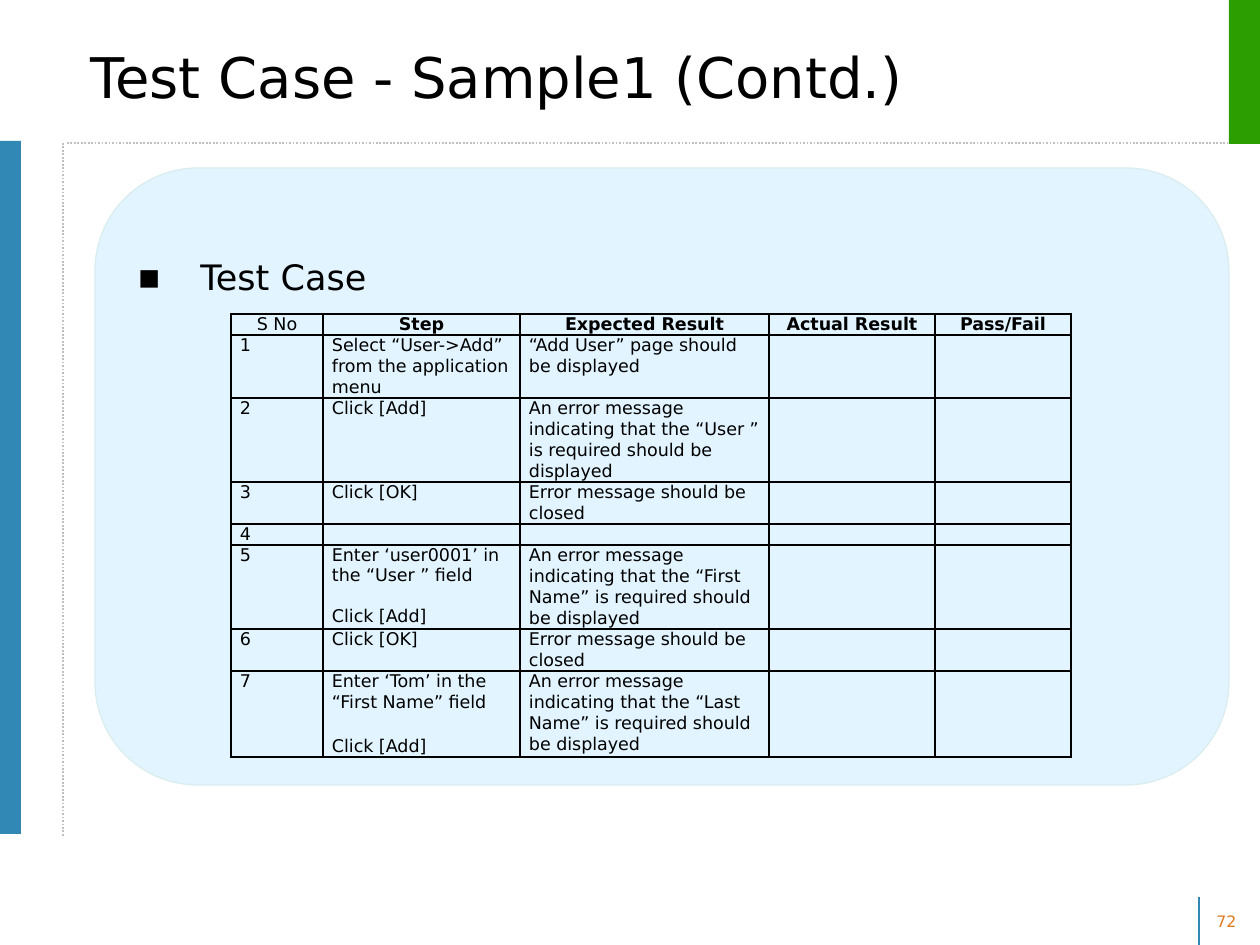
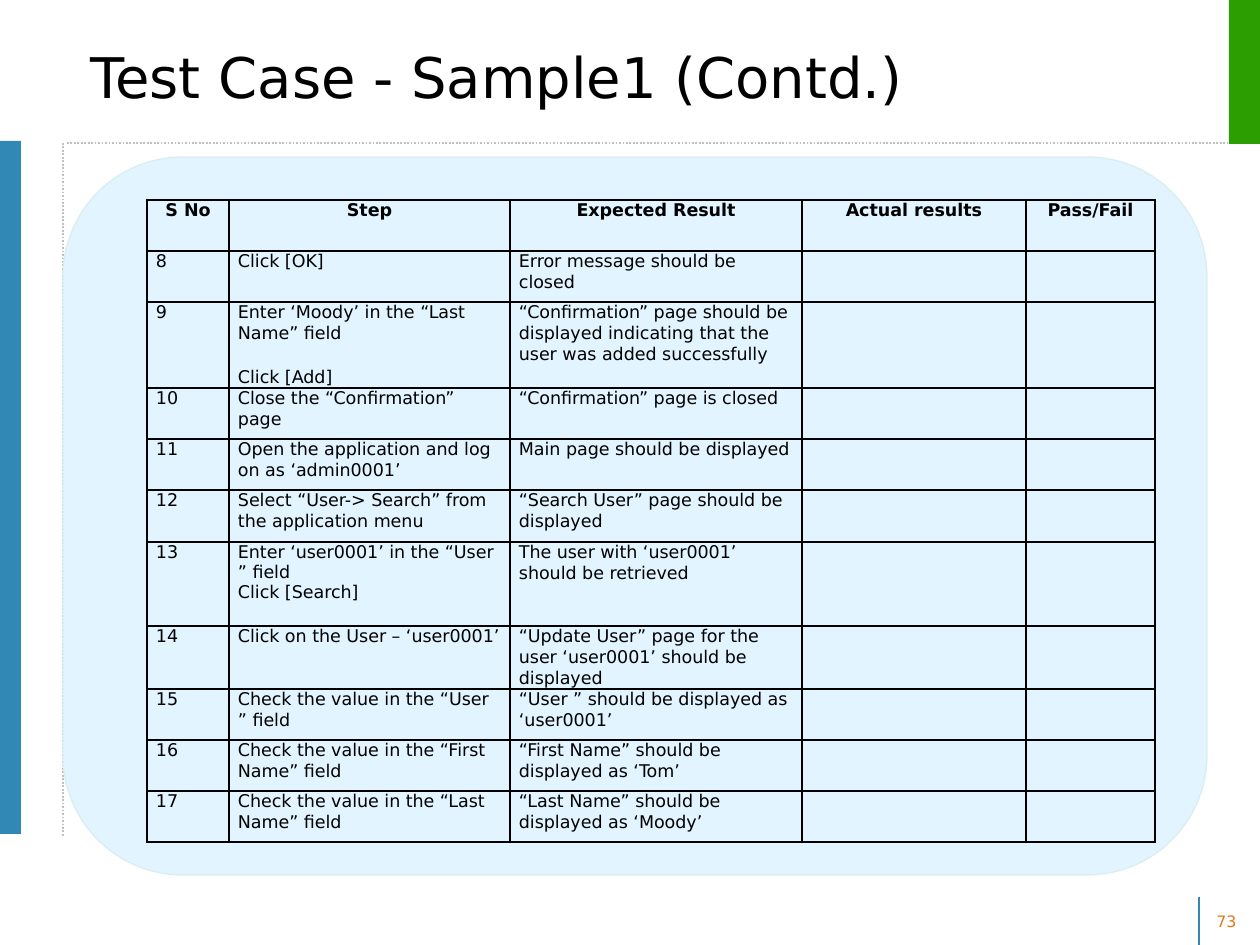
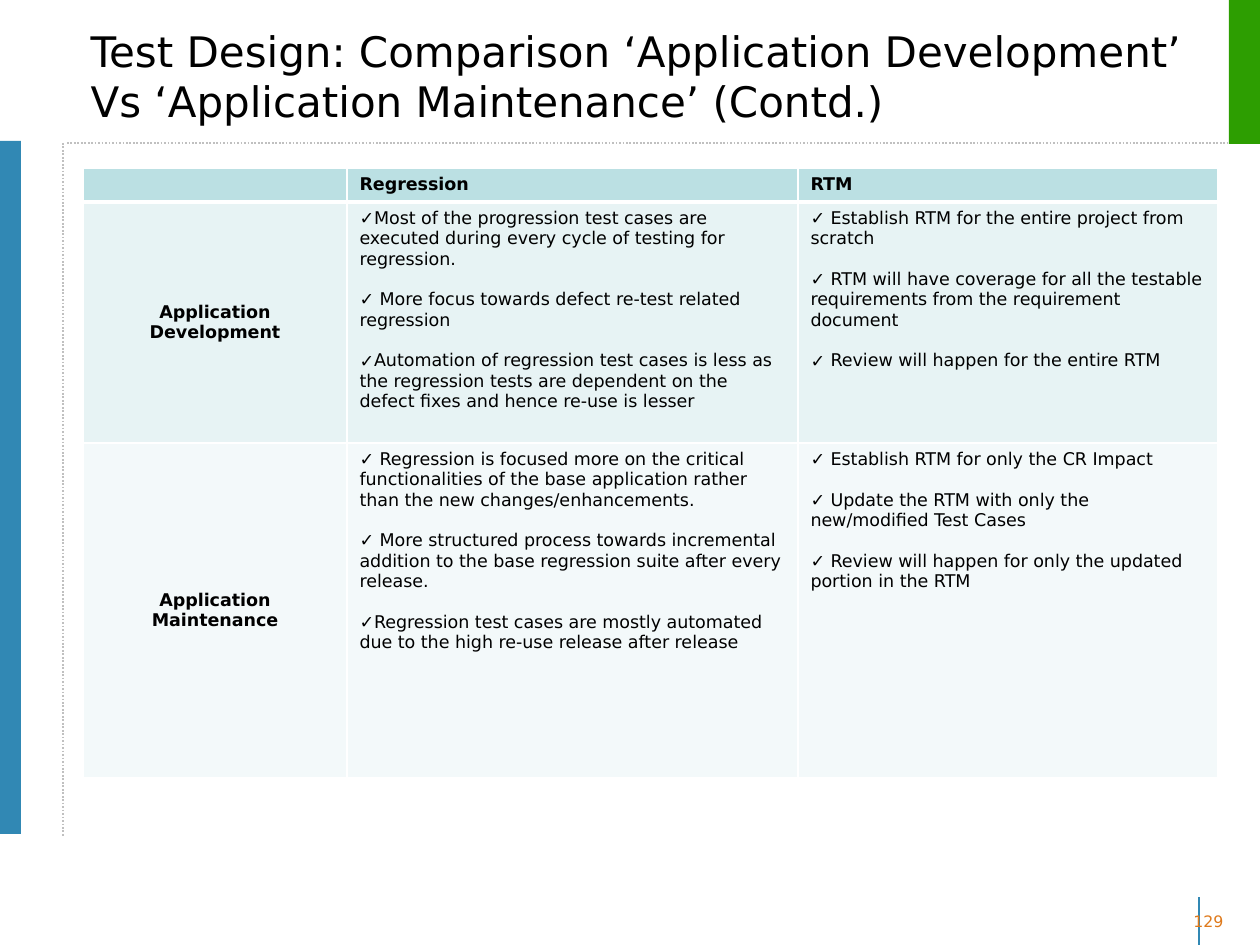
from dataclasses import dataclass
from typing import NamedTuple, Optional

from lxml.etree import SubElement
from pptx import Presentation
from pptx.dml.color import RGBColor
from pptx.enum.dml import MSO_LINE
from pptx.enum.shapes import MSO_CONNECTOR, MSO_SHAPE
from pptx.enum.text import MSO_ANCHOR, MSO_AUTO_SIZE, PP_ALIGN
from pptx.oxml.ns import qn
from pptx.util import Emu, Pt


@dataclass(frozen=True)
class Theme:
    font: str = "DejaVu Sans"
    ink: str = "000000"
    blue: str = "3188B4"
    green: str = "2D9E01"
    dots: str = "C0C0C0"
    page: str = "DF7A1C"
    panel: str = "E1F4FF"
    edge: str = "DAEDEF"
    white: str = "FFFFFF"
    head: str = "BBE0E3"
    bands: tuple[str, ...] = ("E7F3F4", "F3F9FA")
    title: int = 32
    small: int = 24
    list: int = 20
    cell: int = 10
    foot: int = 9


class Box(NamedTuple):
    left: int
    top: int
    width: int
    height: int


class Bar(NamedTuple):
    box: Box
    fill: str


class Rule(NamedTuple):
    start: tuple[int, int]
    end: tuple[int, int]
    color: str
    dotted: bool


class Look(NamedTuple):
    """How the text of one box is set, in points."""
    size: int
    color: str = "000000"
    bold: bool = False
    align: PP_ALIGN = PP_ALIGN.LEFT
    lead: Optional[int] = None
    gap: float = 0
    bullet: str = ""
    indent: int = 0


class Step(NamedTuple):
    act: str = ""
    result: str = ""
    lead: Optional[int] = 12
    gap: float = 13


class Grid(NamedTuple):
    left: int
    top: int
    cols: tuple[int, ...]
    rows: tuple[int, ...]


T = Theme()
BLANK = 11.6  # height of one plain line of cell text, in points
WIDE, HIGH = 1260, 945

BARS = (Bar(Box(0, 141, 21, 693), T.blue), Bar(Box(1229, 0, 31, 144), T.green))
RULES = (
    Rule((1199, 945), (1199, 897), T.blue, False),
    Rule((67, 143), (1242, 143), T.dots, True),
    Rule((63, 143), (63, 836), T.dots, True),
)

# Content
FIRST = (
    Step("Select “User->Add” from the application menu", "“Add User” page should be displayed"),
    Step("Click [Add]",
         "An error message indicating that the “User ” is required should be displayed"),
    Step("Click [OK]", "Error message should be closed"),
    Step(),
    Step("Enter ‘user0001’ in the “User ” field\nClick [Add]",
         "An error message indicating that the “First Name” is required should be displayed",
         None, BLANK),
    Step("Click [OK]", "Error message should be closed"),
    Step("Enter ‘Tom’ in the “First Name” field\nClick [Add]",
         "An error message indicating that the “Last Name” is required should be displayed"),
)
SECOND = (
    Step("Click [OK]", "Error message should be closed"),
    Step("Enter ‘Moody’ in the “Last Name” field\nClick [Add]",
         "“Confirmation” page should be displayed indicating that the user was added successfully"),
    Step("Close the “Confirmation” page", "“Confirmation” page is closed"),
    Step("Open the application and log on as ‘admin0001’", "Main page should be displayed"),
    Step("Select “User-> Search” from the application menu",
         "“Search User” page should be displayed"),
    Step("Enter ‘user0001’ in the “User ” field\nClick [Search]",
         "The user with ‘user0001’ should be retrieved", None, 0),
    Step("Click on the User – ‘user0001’",
         "“Update User” page for the user ‘user0001’ should be displayed"),
    Step("Check the value in the “User ” field", "“User ” should be displayed as ‘user0001’"),
    Step("Check the value in the “First Name” field",
         "“First Name” should be displayed as ‘Tom’"),
    Step("Check the value in the “Last Name” field",
         "“Last Name” should be displayed as ‘Moody’"),
)
KINDS = (
    ("Application Development",
     "Most of the progression test cases are executed during every cycle of testing for "
     "regression.\n"
     " More focus towards defect re-test related regression\n"
     "Automation of regression test cases is less as the regression tests are dependent on "
     "the defect fixes and hence re-use is lesser",
     " Establish RTM for the entire project from scratch\n"
     " RTM will have coverage for all the testable requirements from the requirement document\n"
     " Review will happen for the entire RTM"),
    ("Application Maintenance",
     " Regression is focused more on the critical functionalities of the base application "
     "rather than the new changes/enhancements.\n"
     " More structured process towards incremental addition to the base regression suite "
     "after every release.\n"
     "Regression test cases are mostly automated due to the high re-use release after release",
     " Establish RTM for only the CR Impact\n"
     " Update the RTM with only the new/modified Test Cases\n"
     " Review will happen for only the updated portion in the RTM"),
)


# Helpers
def px(n: float) -> Emu:
    return Emu(round(n * 914400 / 126))


def rgb(code: str) -> RGBColor:
    return RGBColor.from_string(code)


def place(box: Box) -> tuple[Emu, ...]:
    return tuple(px(n) for n in box)


def write(frame, text: str, look: Look) -> None:
    """Fill a text frame, one paragraph for each line of text."""
    frame.word_wrap = True
    for i, line in enumerate(text.split("\n")):
        para = frame.add_paragraph() if i else frame.paragraphs[0]
        para.alignment = look.align
        if look.lead:
            para.line_spacing = Pt(look.lead)
        if i and look.gap:
            para.space_before = Pt(look.gap)
        if look.bullet:
            props = para._p.get_or_add_pPr()
            props.set("marL", str(px(look.indent)))
            props.set("indent", str(-px(look.indent)))
            SubElement(props, qn("a:buFont"), typeface=T.font)
            SubElement(props, qn("a:buChar"), char=look.bullet)
        if not line:
            SubElement(para._p, qn("a:endParaRPr"), sz=str(look.size * 100))
            continue
        run = para.add_run()
        run.text = line
        run.font.name = T.font
        run.font.size = Pt(look.size)
        run.font.bold = look.bold
        run.font.color.rgb = rgb(look.color)


def shape(slide, kind: MSO_SHAPE, box: Box, fill: str, edge: str = ""):
    item = slide.shapes.add_shape(kind, *place(box))
    item.shadow.inherit = False
    item.fill.solid()
    item.fill.fore_color.rgb = rgb(fill)
    if edge:
        item.line.color.rgb = rgb(edge)
        item.line.width = Pt(0.75)
    else:
        item.line.fill.background()
    return item


def panel(slide, box: Box):
    return shape(slide, MSO_SHAPE.ROUNDED_RECTANGLE, box, T.panel, T.edge)


def draw_rule(slide, rule: Rule) -> None:
    ends = (px(n) for n in rule.start + rule.end)
    line = slide.shapes.add_connector(MSO_CONNECTOR.STRAIGHT, *ends)
    line.line.color.rgb = rgb(rule.color)
    line.line.width = Pt(1)
    if rule.dotted:
        line.line.dash_style = MSO_LINE.ROUND_DOT
    SubElement(line._element.spPr, qn("a:effectLst"))


def start(deck, title: str, size: int, width: int, page: str, spot: Box):
    """Add a slide with its title, bands, rules and page number."""
    slide = deck.slides.add_slide(deck.slide_layouts[5])
    for rule in RULES:
        draw_rule(slide, rule)
    for bar in BARS:
        shape(slide, MSO_SHAPE.RECTANGLE, bar.box, bar.fill)
    head = slide.shapes.title
    head.left, head.top, head.width, head.height = place(Box(78, 34, width, 84))
    head.text_frame.auto_size = MSO_AUTO_SIZE.NONE
    head.text_frame.vertical_anchor = MSO_ANCHOR.MIDDLE
    write(head.text_frame, title, Look(size))
    foot = slide.shapes.add_textbox(*place(spot))
    write(foot.text_frame, page, Look(T.foot, T.page))
    return slide


def border(cell, color: str, base: int = 1) -> None:
    props = cell._tc.get_or_add_tcPr()
    for side, width in (("L", 1), ("R", 1), ("T", 1), ("B", base)):
        line = SubElement(props, qn(f"a:ln{side}"), w=str(Pt(width)))
        fill = SubElement(line, qn("a:solidFill"))
        SubElement(fill, qn("a:srgbClr"), val=color)


def add_grid(slide, grid: Grid):
    box = Box(grid.left, grid.top, sum(grid.cols), sum(grid.rows))
    table = slide.shapes.add_table(len(grid.rows), len(grid.cols), *place(box)).table
    table.first_row = table.horz_banding = False
    for col, width in zip(table.columns, grid.cols):
        col.width = px(width)
    for row, height in zip(table.rows, grid.rows):
        row.height = px(height)
    return table


def add_steps(slide, grid: Grid, heads: tuple[str, ...], steps: tuple[Step, ...],
              first: int, plain: int = -1) -> None:
    """Draw a test case; the head at column `plain` is not bold."""
    table = add_grid(slide, grid)
    body = Look(T.cell, lead=12)
    looks = [[Look(T.cell, bold=i != plain, align=PP_ALIGN.CENTER, lead=12)
              for i in range(len(heads))]]
    texts = [heads]
    for no, step in enumerate(steps, first):
        texts.append((str(no), step.act, step.result, "", ""))
        looks.append([body, body._replace(lead=step.lead, gap=step.gap), body, body, body])
    for r, line in enumerate(texts):
        for c, text in enumerate(line):
            cell = table.cell(r, c)
            cell.margin_left = cell.margin_right = px(9)
            cell.margin_top = cell.margin_bottom = 0
            border(cell, T.ink)
            cell.fill.background()
            write(cell.text_frame, text, looks[r][c])


def add_kinds(slide, grid: Grid) -> None:
    """Draw the comparison of the two kinds of work."""
    table = add_grid(slide, grid)
    head = Look(T.cell, bold=True)
    side = head._replace(align=PP_ALIGN.CENTER)
    ticks = Look(T.cell, gap=BLANK, bullet="✓")
    for r, line in enumerate((("", "Regression", "RTM"),) + KINDS):
        for c, text in enumerate(line):
            cell = table.cell(r, c)
            border(cell, T.white, 1 if r else 3)
            cell.fill.solid()
            cell.fill.fore_color.rgb = rgb(T.bands[r - 1] if r else T.head)
            if r and not c:
                cell.vertical_anchor = MSO_ANCHOR.MIDDLE
            write(cell.text_frame, text, head if not r else ticks if c else side)


# Slides
def main() -> None:
    deck = Presentation()
    deck.slide_width, deck.slide_height = px(WIDE), px(HIGH)
    sample = "Test Case - Sample1 (Contd.)"
    spot = Box(1204, 906, 50, 32)

    # Steps 1 to 7
    slide = start(deck, sample, T.title, 1029, "72", spot)
    pane = panel(slide, Box(95, 168, 1134, 617))
    pane.text_frame.vertical_anchor = MSO_ANCHOR.TOP
    pane.text_frame.margin_top = px(57)
    write(pane.text_frame, "Test Case", Look(T.list, bullet="▪", indent=63))
    add_steps(slide, Grid(231, 314, (92, 197, 249, 166, 136), (21, 63, 84, 42, 21, 84, 42, 86)),
              ("S No", "Step", "Expected Result", "Actual Result", "Pass/Fail"), FIRST, 1, 0)

    # Steps 8 to 17
    slide = start(deck, sample, T.title, 1029, "73", spot)
    panel(slide, Box(63, 157, 1144, 718))
    add_steps(slide, Grid(147, 200, (82, 281, 292, 224, 129),
                          (51, 51, 86, 51, 51, 52, 84, 63, 51, 51, 51)),
              ("S No", "Step", "Expected Result", "Actual results", "Pass/Fail"), SECOND, 8)

    # Comparison
    slide = start(deck, "Test Design: Comparison ‘Application Development’ Vs "
                  "‘Application Maintenance’ (Contd.)", T.small, 1129, "129",
                  Box(1181, 906, 91, 18))
    add_kinds(slide, Grid(83, 168, (264, 451, 420), (34, 241, 335)))

    deck.save("out.pptx")


if __name__ == "__main__":
    main()
